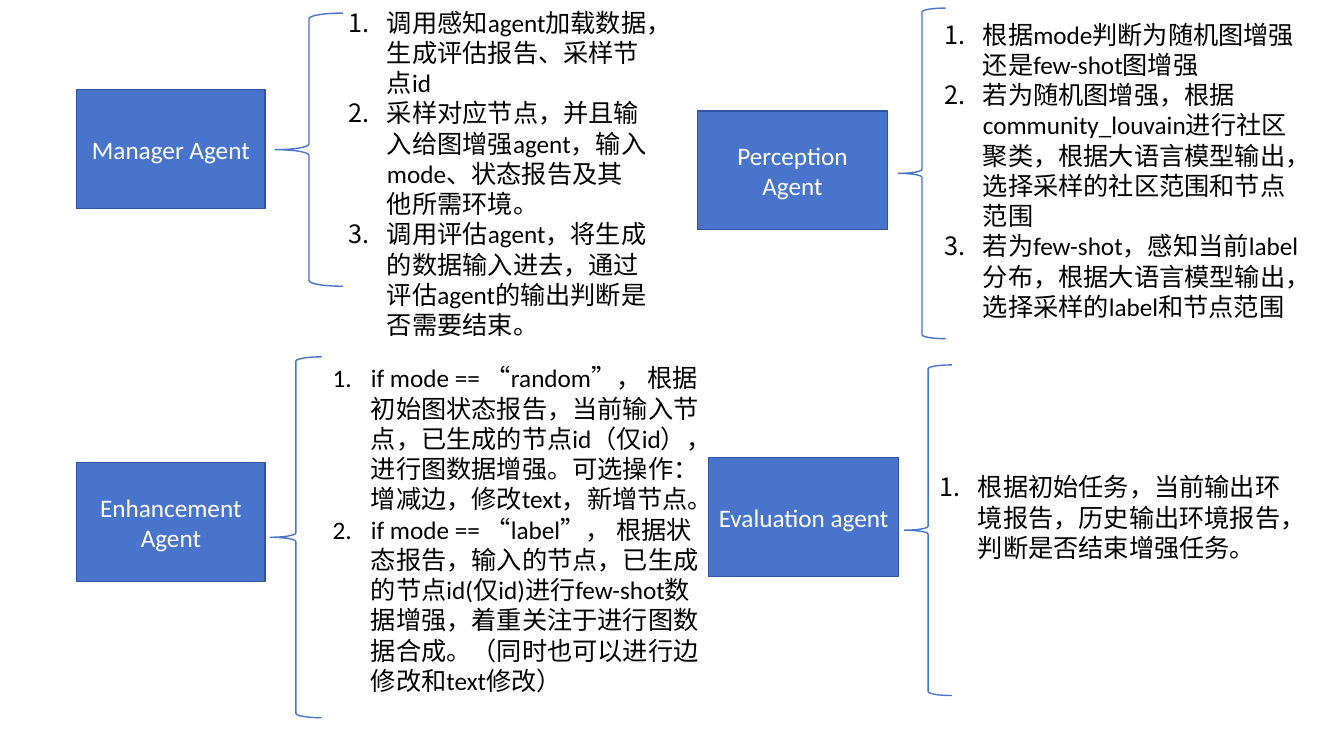
import pptx
import pptx.util
import pptx.dml.color
import pptx.enum.lang
import pptx.enum.shapes
import pptx.enum.text
import lxml.etree
from dataclasses import dataclass
from pptx.oxml.ns import qn

Inches = pptx.util.Inches
Pt = pptx.util.Pt
RGB = pptx.dml.color.RGBColor.from_string
SHAPES = pptx.enum.shapes.MSO_SHAPE

# Content: each agent has a name, its places (left, top, width, height) and steps
AGENTS = [
    dict(name="Manager Agent", box=(0.76, 0.89, 1.87, 1.18),
         brace=(2.73, 0.13, 0.67, 2.71), list=(3.36, 0.02, 3.15, 3.73),
         steps=["调用感知agent加载数据，生成评估报告、采样节点id",
                "采样对应节点，并且输入给图增强agent，输入mode、状态报告及其他所需环境。",
                "调用评估agent，将生成的数据输入进去，通过评估agent的输出判断是否需要结束。"]),
    dict(name="Perception Agent", box=(6.92, 1.1, 1.88, 1.18),
         brace=(8.91, 0.08, 0.47, 3.28), list=(9.27, 0.14, 3.74, 0.4),
         steps=["根据mode判断为随机图增强还是few-shot图增强",
                "若为随机图增强，根据community_louvain进行社区聚类，"
                "根据大语言模型输出，选择采样的社区范围和节点范围",
                "若为few-shot，感知当前label分布，根据大语言模型输出，"
                "选择采样的label和节点范围"]),
    dict(name="Enhancement Agent", box=(0.76, 4.59, 1.87, 1.18),
         brace=(2.68, 3.54, 0.51, 3.58), list=(3.2, 3.55, 3.83, 3.43),
         steps=["if mode == “random”， 根据初始图状态报告，当前输入节点，"
                "已生成的节点id（仅id），进行图数据增强。"
                "可选操作：增减边，修改text，新增节点。",
                "if mode == “label”， 根据状态报告，输入的节点，"
                "已生成的节点id(仅id)进行few-shot数据增强，"
                "着重关注于进行图数据合成。（同时也可以进行边修改和text修改）"]),
    dict(name="Evaluation agent", box=(7.03, 4.54, 1.88, 1.18),
         brace=(8.97, 3.62, 0.47, 3.28), list=(9.22, 4.63, 3.74, 0.4),
         steps=["根据初始任务，当前输出环境报告，历史输出环境报告，判断是否结束增强任务。"]),
]


@dataclass(frozen=True)
class Theme:
    font: str = "Calibri"
    size: int = 18
    blue: str = "4874CB"
    outline: str = "2E54A1"
    light: str = "FFFFFF"
    dark: str = "000000"
    line_width: int = 1
    indent: float = 0.38


THEME = Theme()


def set_font(para, color):
    para.font.name = THEME.font
    para.font.size = Pt(THEME.size)
    para.font.color.rgb = RGB(color)
    para.font.language_id = pptx.enum.lang.MSO_LANGUAGE_ID.SIMPLIFIED_CHINESE


def add_outlined(page, kind, place, line_color):
    shape = page.shapes.add_shape(kind, *map(Inches, place))
    shape.shadow.inherit = False
    shape.line.color.rgb = RGB(line_color)
    shape.line.width = Pt(THEME.line_width)
    return shape


def add_name_box(page, name, place):
    box = add_outlined(page, SHAPES.RECTANGLE, place, THEME.outline)
    box.fill.solid()
    box.fill.fore_color.rgb = RGB(THEME.blue)
    frame = box.text_frame
    frame.word_wrap = True
    frame.vertical_anchor = pptx.enum.text.MSO_ANCHOR.MIDDLE
    para = frame.paragraphs[0]
    para.text = name
    para.alignment = pptx.enum.text.PP_ALIGN.CENTER
    set_font(para, THEME.light)


def number_paragraph(para):
    props = para._p.get_or_add_pPr()
    props.set("marL", str(Inches(THEME.indent)))
    props.set("indent", str(-Inches(THEME.indent)))
    lxml.etree.SubElement(props, qn("a:buFont"), typeface="+mj-lt")
    lxml.etree.SubElement(props, qn("a:buAutoNum"), type="arabicPeriod")


def add_steps(page, steps, place):
    frame = page.shapes.add_textbox(*map(Inches, place)).text_frame
    frame.word_wrap = True
    for index, step in enumerate(steps):
        para = frame.add_paragraph() if index else frame.paragraphs[0]
        para.text = step
        number_paragraph(para)
        set_font(para, THEME.dark)


def main():
    deck = pptx.Presentation()
    deck.slide_width, deck.slide_height = Inches(13.33), Inches(7.5)
    page = deck.slides.add_slide(deck.slide_layouts[6])  # blank: no title

    # Each agent: name box, brace, numbered steps
    for agent in AGENTS:
        add_name_box(page, agent["name"], agent["box"])
        brace = add_outlined(page, SHAPES.LEFT_BRACE, agent["brace"], THEME.blue)
        brace.fill.background()
        add_steps(page, agent["steps"], agent["list"])

    deck.save("out.pptx")


if __name__ == "__main__":
    main()
